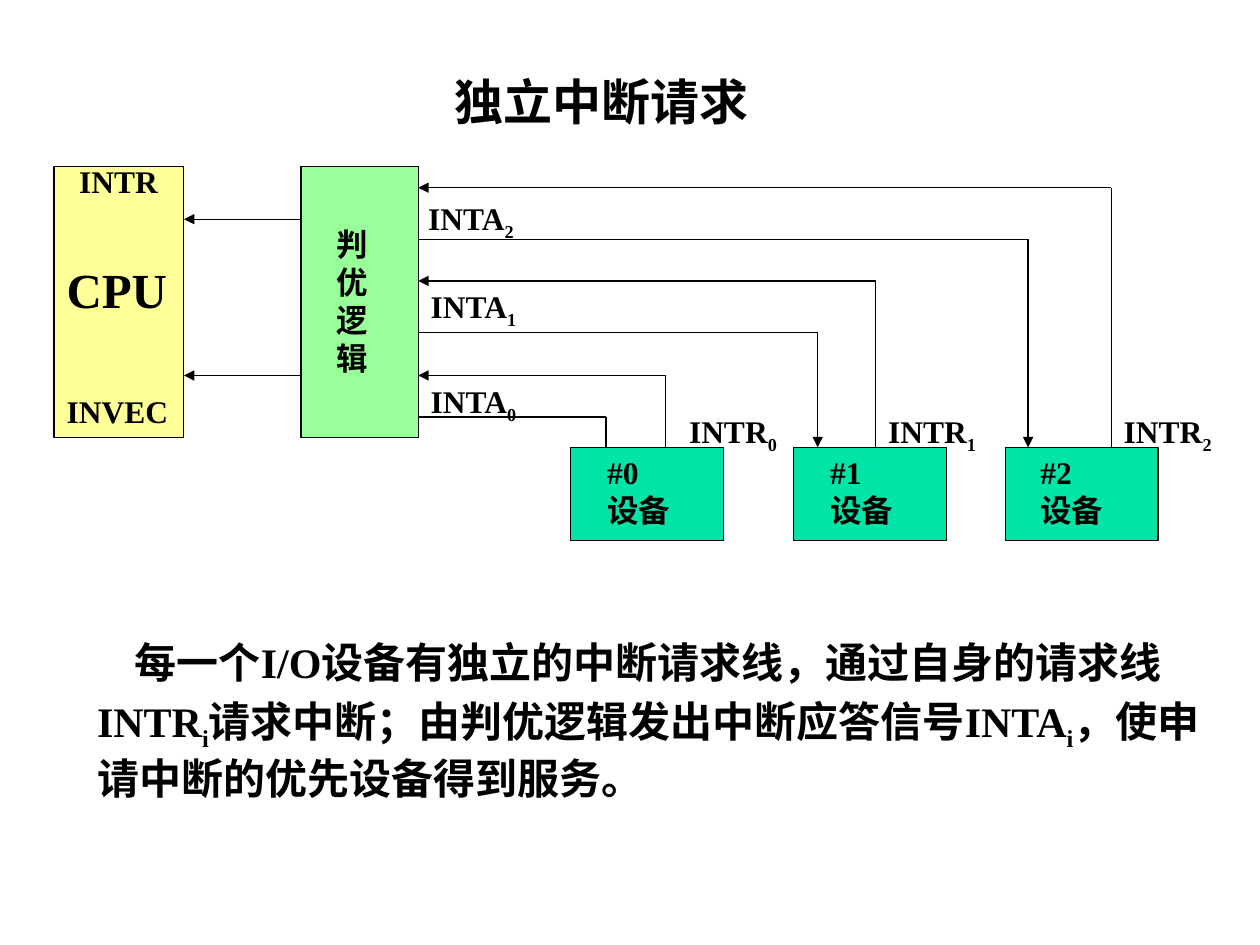
from collections import namedtuple

from lxml.etree import SubElement
from pptx import Presentation
from pptx.dml.color import RGBColor
from pptx.enum.shapes import MSO_CONNECTOR, MSO_SHAPE
from pptx.enum.text import MSO_ANCHOR, MSO_AUTO_SIZE, PP_ALIGN
from pptx.oxml.ns import qn
from pptx.util import Inches, Pt

COLORS = {"ink": "000000", "cpu": "FFFF99", "arbiter": "99FF99", "device": "00E4A8"}
SERIF, SANS = "Times New Roman", "Lato"
COLUMNS, ROWS = 100, 75
WIDTH, HEIGHT = Inches(10), Inches(7.5)

Box = namedtuple("Box", "left top width height")
# Columns: device box, its caption, acknowledge line, request line, INTR label.
# Rows: request line, acknowledge line. Then the position of the INTA label.
Device = namedtuple("Device", "left caption ack request intr request_row ack_row inta")
DEVICES = [
    Device(45.3, 47.2, 48.1, 52.8, 53.7, 29.8, 33.1, (33.2, 29.8)),
    Device(63.0, 64.9, 64.9, 69.5, 69.5, 22.3, 26.4, (33.2, 22.3)),
    Device(79.8, 81.6, 81.6, 88.2, 88.2, 14.9, 19.0, (33.0, 15.3)),
]


def col(number):
    return round(number * WIDTH / COLUMNS)


def row(number):
    return round(number * HEIGHT / ROWS)


def place(box):
    return col(box.left), row(box.top), col(box.width), row(box.height)


def write(frame, paragraphs, size=18, wrap=False, before=0):
    """Fill a frame; a paragraph is a list of runs, where "_" starts a subscript."""
    frame.word_wrap = wrap
    frame.auto_size = MSO_AUTO_SIZE.SHAPE_TO_FIT_TEXT
    frame.vertical_anchor = MSO_ANCHOR.TOP
    for index, runs in enumerate(paragraphs):
        paragraph = frame.add_paragraph() if index else frame.paragraphs[0]
        paragraph.alignment = PP_ALIGN.LEFT
        paragraph.space_before = Pt(before)
        for words in runs:
            run = paragraph.add_run()
            run.text = words.removeprefix("_")
            run.font.size, run.font.bold = Pt(size), True
            run.font.name = SERIF
            run.font.color.rgb = RGBColor.from_string(COLORS["ink"])
            if words.startswith("_"):
                run.font._element.set("baseline", "-25000")


def add_label(slide, box, *paragraphs, **text_format):
    label = slide.shapes.add_textbox(*place(box))
    write(label.text_frame, paragraphs, **text_format)


def add_block(slide, box, color):
    block = slide.shapes.add_shape(MSO_SHAPE.RECTANGLE, *place(box))
    block.shadow.inherit = False
    block.fill.solid()
    block.fill.fore_color.rgb = RGBColor.from_string(COLORS[color])
    block.line.color.rgb = RGBColor.from_string(COLORS["ink"])
    block.line.width = Pt(0.75)


def add_wire(slide, *points, arrow=True):
    """Join (column, row) points by straight lines, with an arrowhead at the end."""
    for start, end in zip(points, points[1:]):
        wire = slide.shapes.add_connector(
            MSO_CONNECTOR.STRAIGHT, col(start[0]), row(start[1]), col(end[0]), row(end[1]))
        wire.line.color.rgb = RGBColor.from_string(COLORS["ink"])
        wire.line.width = Pt(0.75)
        SubElement(wire._element.spPr, qn("a:effectLst"))
    if arrow:
        SubElement(wire._element.spPr.find(qn("a:ln")), qn("a:tailEnd"), type="triangle")


def add_cpu(slide, box):
    add_block(slide, box, "cpu")
    add_label(slide, Box(box.left, box.top + 6.9, 10, 5.7), ["CPU"], size=28)
    add_label(slide, Box(box.left, box.top + 17.4, 10.1, 4), ["INVEC"])
    add_label(slide, Box(box.left + 1, box.top - 0.8, 8.3, 4), ["INTR"])


def add_arbiter(slide, box, cpu_edge):
    add_block(slide, box, "arbiter")
    add_label(slide, Box(box.left + 1.8, box.top + 4.2, 4.5, 13), *"判优逻辑")
    for wire_row in (box.top + 4.2, box.top + 16.6):
        add_wire(slide, (box.left, wire_row), (cpu_edge, wire_row))


def add_device(slide, number, device, box, arbiter_edge):
    add_block(slide, box, "device")
    add_label(slide, Box(device.caption, box.top, 7, 7), [f"#{number}"], ["设备"])
    add_wire(slide, (device.request, box.top), (device.request, device.request_row),
             (arbiter_edge, device.request_row))
    add_wire(slide, (arbiter_edge, device.ack_row), (device.ack, device.ack_row),
             (device.ack, box.top), arrow=number > 0)
    add_label(slide, Box(device.intr, box.top - 3.3, 9.1, 4), ["INTR", f"_{number}"])
    add_label(slide, Box(*device.inta, 9.1, 4), ["INTA", f"_{number}"])


def fill_placeholder(placeholder, box, paragraphs, **text_format):
    placeholder.left, placeholder.top, placeholder.width, placeholder.height = place(box)
    write(placeholder.text_frame, paragraphs, wrap=True, **text_format)


def add_explanation(body, box):
    fill_placeholder(body, box, [
        ["每一个", "I/O", "设备有独立的中断请求线，通过自身的请求线"],
        ["INTR", "_i", "请求中断；由判优逻辑发出中断应答信号INTA", "_i",
         "，使申请中断的优先设备得到服务。"],
    ], size=24, before=5)
    paragraphs = body.text_frame.paragraphs
    for paragraph, indent in zip(paragraphs, (3, 0)):
        properties = paragraph._p.get_or_add_pPr()
        properties.set("marL", "0")
        properties.set("indent", str(col(indent)))
        SubElement(properties, qn("a:buNone"))
    for chinese in paragraphs[0].runs[::2]:
        chinese.font.name = SANS


def main():
    deck = Presentation()
    deck.slide_width, deck.slide_height = WIDTH, HEIGHT
    slide = deck.slides.add_slide(deck.slide_layouts[1])
    title, body = slide.placeholders
    cpu = Box(4.3, 13.2, 10.3, 21.5)
    arbiter = Box(23.9, 13.2, 9.3, 21.5)

    fill_placeholder(title, Box(35.1, 5.2, 26.6, 5.7), [["独立中断请求"]], size=28)
    add_cpu(slide, cpu)
    add_arbiter(slide, arbiter, cpu.left + cpu.width)
    for number, device in enumerate(DEVICES):
        add_device(slide, number, device, Box(device.left, 35.5, 12.1, 7.4),
                   arbiter.left + arbiter.width)
    add_explanation(body, Box(6.7, 50, 89.8, 13.8))
    deck.save("out.pptx")


if __name__ == "__main__":
    main()
